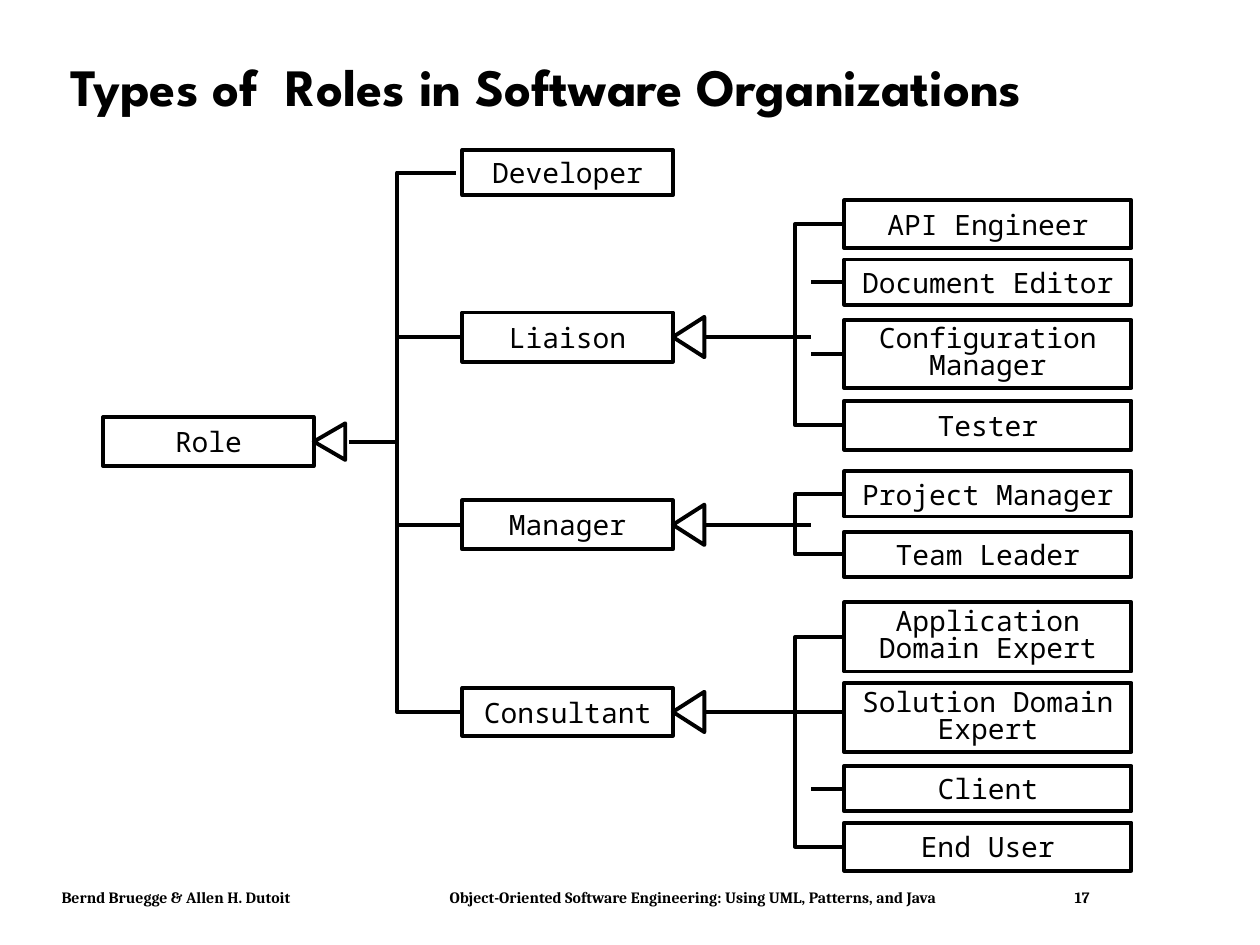
from lxml import etree
from pptx import Presentation
from pptx.dml.color import RGBColor
from pptx.enum import shapes, text
from pptx.oxml import ns
from pptx.util import Inches, Pt

COLORS = {"ink": "000000"}
INK = RGBColor.from_string(COLORS["ink"])
FONTS = {"title": "League Spartan", "label": "Noto Sans Mono", "footer": "Cambria"}
LINE_WIDTH = Pt(2.25)

ROLE_WIDTH, JOB_WIDTH = 1.67, 2.28
JOB_OFFSET = 3.03      # from the left of a role to the left of its jobs
BRACKET_GAP = 0.39     # from the bracket's spine to the jobs
TICK_LENGTH = 0.26

# Families: role, top, role offset, role height, jobs, joined jobs, stem end gap
# Jobs: label, offset from the family's top, height
FAMILIES = [
    ("Developer", 1.19, 0, 0.36, [], [], 0),
    ("Liaison", 1.59, 0.89, 0.39, [
        ("API Engineer", 0, 0.38),
        ("Document Editor", 0.47, 0.36),
        ("Configuration Manager", 0.95, 0.54),
        ("Tester", 1.59, 0.39),
    ], [1, 2], TICK_LENGTH),
    ("Manager", 3.74, 0.23, 0.39, [
        ("Project Manager", 0, 0.36),
        ("Team Leader", 0.48, 0.36),
    ], [], TICK_LENGTH),
    ("Consultant", 4.78, 0.68, 0.38, [
        ("Application Domain Expert", 0, 0.55),
        ("Solution Domain Expert", 0.64, 0.55),
        ("Client", 1.3, 0.36),
        ("End User", 1.75, 0.38),
    ], [2], 0),
]


def set_font(paragraph, name, size, bold=False):
    font = paragraph.font
    font.name, font.size, font.bold = name, Pt(size), bold
    font.color.rgb = INK


def set_outline(shape):
    shape.line.color.rgb = INK
    shape.line.width = LINE_WIDTH


def add_label_box(slide, label, left, top, width, height):
    shape = slide.shapes.add_shape(
        shapes.MSO_SHAPE.RECTANGLE,
        Inches(left), Inches(top), Inches(width), Inches(height))
    shape.shadow.inherit = False
    shape.fill.background()
    set_outline(shape)
    two_lines = height > 0.5
    frame = shape.text_frame
    frame.word_wrap = two_lines
    frame.vertical_anchor = text.MSO_ANCHOR.MIDDLE
    paragraph = frame.paragraphs[0]
    paragraph.text = label
    paragraph.alignment = text.PP_ALIGN.CENTER
    if two_lines:
        paragraph.line_spacing = 0.8
    set_font(paragraph, FONTS["label"], 16)
    return shape


def add_outline(slide, points, close=False):
    first, *rest = [(Inches(x), Inches(y)) for x, y in points]
    builder = slide.shapes.build_freeform(*first)
    builder.add_line_segments(rest, close=close)
    shape = builder.convert_to_shape()
    shape.shadow.inherit = False
    shape.fill.background()
    set_outline(shape)


def add_line(slide, start_x, end_x, y, target=None):
    """Draw a level line, joined to the left side of a target box if given."""
    connector = slide.shapes.add_connector(
        shapes.MSO_CONNECTOR.STRAIGHT,
        Inches(start_x), Inches(y), Inches(end_x), Inches(y))
    etree.SubElement(connector._element.spPr, ns.qn("a:effectLst"))
    set_outline(connector)
    if target is not None:
        connector.end_connect(target, 1)


def add_triangle(slide, left, middle, height):
    right = left + 0.25
    add_outline(slide, [(right, middle - height / 2), (right, middle + height / 2),
                        (left, middle)], close=True)


def add_title(slide, left, top, width, height):
    title = slide.shapes.title
    title.left, title.top = Inches(left), Inches(top)
    title.width, title.height = Inches(width), Inches(height)
    title.text_frame.vertical_anchor = text.MSO_ANCHOR.MIDDLE
    paragraph = title.text_frame.paragraphs[0]
    paragraph.text = "Types of  Roles in Software Organizations"
    paragraph.alignment = text.PP_ALIGN.LEFT
    paragraph.line_spacing = 0.9
    set_font(paragraph, FONTS["title"], 30, bold=True)


def add_family(slide, left, family):
    """Place a role with its jobs; return the role's box and middle."""
    role, top, offset, height, jobs, joined, stem_gap = family
    role_box = add_label_box(slide, role, left, top + offset, ROLE_WIDTH, height)
    middle = top + offset + height / 2
    if not jobs:
        return role_box, middle

    # Jobs
    job_left = left + JOB_OFFSET
    boxes = [add_label_box(slide, label, job_left, top + y, JOB_WIDTH, h)
             for label, y, h in jobs]
    middles = [top + y + h / 2 for _, y, h in jobs]

    # Bracket around the first and last job
    spine = job_left - BRACKET_GAP
    add_outline(slide, [(job_left, middles[0]), (spine, middles[0]),
                        (spine, middles[-1]), (job_left, middles[-1])])

    # Arrow, stem and ticks
    add_triangle(slide, left + ROLE_WIDTH, middle, 0.32)
    add_line(slide, left + ROLE_WIDTH + 0.25, job_left - stem_gap, middle)
    for index in joined:
        add_line(slide, job_left - TICK_LENGTH, job_left, middles[index], boxes[index])
    return role_box, middle


def add_hierarchy(slide, left, top):
    # Root role
    add_label_box(slide, "Role", left, top, ROLE_WIDTH, 0.39)
    root_middle = top + 0.39 / 2
    add_triangle(slide, left + ROLE_WIDTH, root_middle, 0.29)

    # Families
    role_left, trunk = left + 2.85, left + 2.33
    placed = [add_family(slide, role_left, family) for family in FAMILIES]
    middles = [middle for _, middle in placed]

    # Trunk and branches
    add_line(slide, left + 1.95, trunk, root_middle)
    add_outline(slide, [(role_left, middles[-1]), (trunk, middles[-1]),
                        (trunk, middles[0]), (role_left - 0.05, middles[0])])
    for box, middle in placed[1:-1]:
        add_line(slide, trunk, role_left, middle, box)


def add_footer(slide, left, top, width, height):
    box = slide.shapes.add_textbox(
        Inches(left), Inches(top), Inches(width), Inches(height))
    box.text_frame.word_wrap = True
    paragraph = box.text_frame.paragraphs[0]
    paragraph.text = ("Bernd Bruegge & Allen H. Dutoit\t"
                      "Object-Oriented Software Engineering: "
                      "Using UML, Patterns, and Java\t17")
    tabs = etree.SubElement(paragraph._p.get_or_add_pPr(), ns.qn("a:tabLst"))
    for position in (3.08, 8.04):
        etree.SubElement(tabs, ns.qn("a:tab"), pos=str(Inches(position)), algn="l")
    set_font(paragraph, FONTS["footer"], 9, bold=True)


def main():
    presentation = Presentation()
    presentation.slide_width, presentation.slide_height = Inches(10), Inches(7.5)
    slide = presentation.slides.add_slide(presentation.slide_layouts[5])
    add_footer(slide, 0.39, 7, 9.17, 0.25)
    add_title(slide, 0.46, 0.24, 8.92, 0.94)
    add_hierarchy(slide, 0.82, 3.31)
    presentation.save("out.pptx")


if __name__ == "__main__":
    main()
